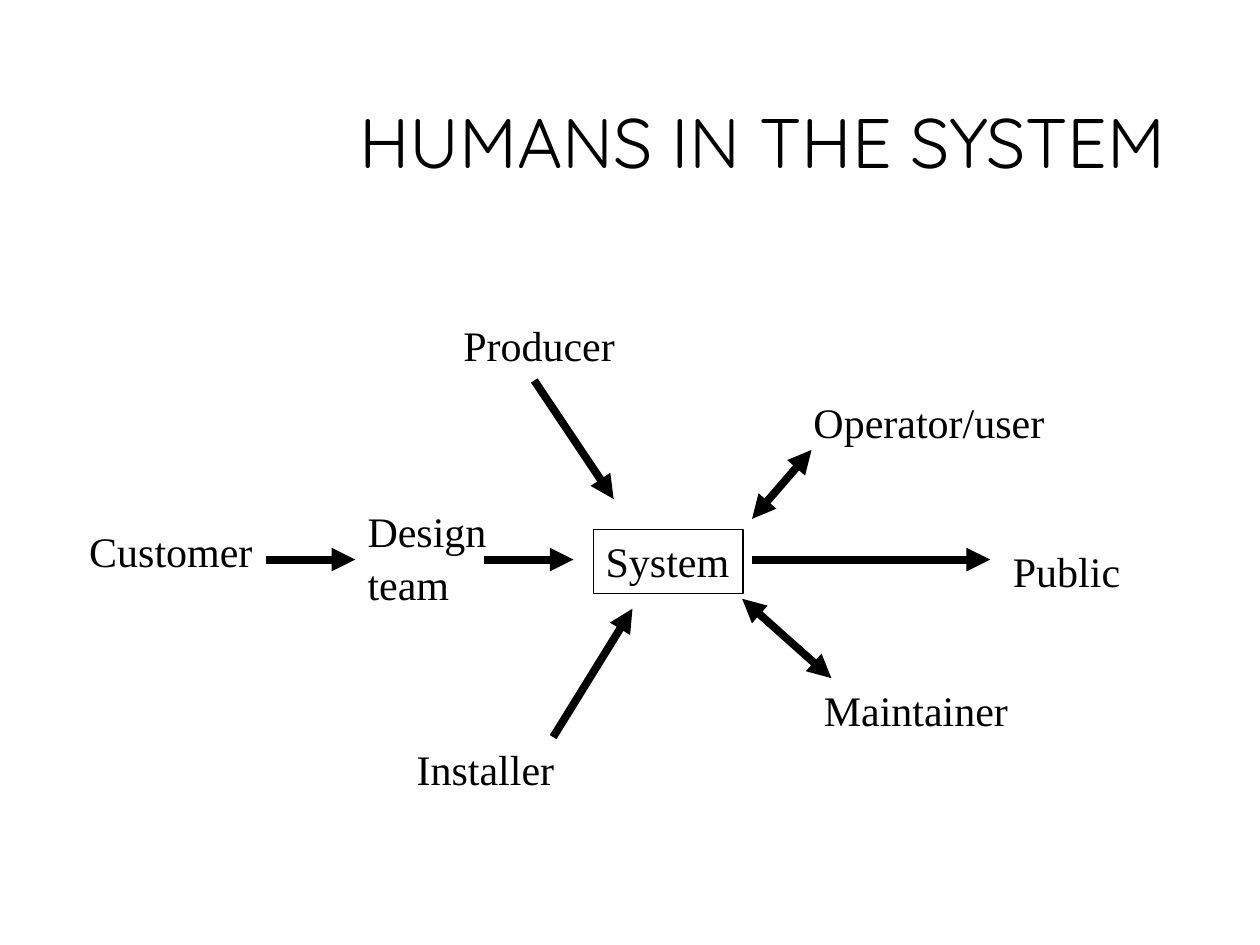
from lxml import etree
from pptx import Presentation
from pptx import util as u
from pptx.dml.color import RGBColor
from pptx.enum import shapes, text
from pptx.oxml import ns

COLOURS = {"ink": "000000", "paper": "FFFFFF"}
TITLE_FONT = {"name": "Quicksand", "size": u.Pt(40), "bold": False}
LABEL_FONT = {"name": "Times New Roman", "size": u.Pt(24)}
TITLE_FRAME = {"word_wrap": True, "auto_size": text.MSO_AUTO_SIZE.NONE,
               "vertical_anchor": text.MSO_ANCHOR.MIDDLE}
LABEL_FRAME = {"word_wrap": False, "auto_size": text.MSO_AUTO_SIZE.NONE,
               "vertical_anchor": text.MSO_ANCHOR.TOP}
TITLE_PARA = {"alignment": text.PP_ALIGN.RIGHT, "line_spacing": 0.9}
LABEL_PARA = {"alignment": text.PP_ALIGN.LEFT, "space_after": u.Pt(1.5)}

# Lengths in cm, relative to the diagram: words, left, top, width, height
SYSTEM = ("System", 10.46, 4.37, 3.02, 1.3)
PEOPLE = [
    ("Customer", 0.05, 4.16, 3.81, 1.27),
    ("Design\nteam", 5.66, 3.76, 2.92, 2.29),
    ("Producer", 7.59, 0.02, 3.56, 1.27),
    ("Installer", 6.65, 8.56, 3.28, 1.27),
    ("Operator/user", 14.65, 1.57, 5.16, 1.27),
    ("Public", 18.67, 4.57, 2.67, 1.27),
    ("Maintainer", 14.86, 7.37, 4.22, 1.27),
]
FLOW_Y = 4.98
# Start point, end point, whether both ends have a head
ARROWS = [
    ((3.86, FLOW_Y), (5.66, FLOW_Y), False),     # customer to design team
    ((8.25, FLOW_Y), (10.06, FLOW_Y), False),    # design team to system
    ((9.27, 1.37), (10.87, 3.76), False),        # producer to system
    ((9.65, 8.56), (11.25, 5.97), False),        # installer to system
    ((13.66, FLOW_Y), (18.46, FLOW_Y), False),   # system to public
    ((13.46, 5.77), (15.26, 7.37), True),        # system and maintainer
    ((14.86, 2.77), (13.66, 4.16), True),        # operator and system
]


def colour(name):
    return RGBColor.from_string(COLOURS[name])


def set_values(target, values):
    for name, value in values.items():
        setattr(target, name, value)


def write(shape, words, frame_values, para_values, font_values):
    frame = shape.text_frame
    frame.text = words
    set_values(frame, frame_values)
    for para in frame.paragraphs:
        set_values(para, para_values)
        for span in para.runs:
            set_values(span.font, font_values)
            span.font.color.rgb = colour("ink")


def add_title(page, left, top, width, height):
    title = page.shapes.title
    set_values(title, {"left": u.Cm(left), "top": u.Cm(top),
                       "width": u.Cm(width), "height": u.Cm(height)})
    write(title, "HUMANS IN THE SYSTEM", TITLE_FRAME, TITLE_PARA, TITLE_FONT)


def add_arrow(page, start, end, both_ways):
    arrow = page.shapes.add_connector(
        shapes.MSO_CONNECTOR.STRAIGHT, *map(u.Cm, start + end))
    arrow.line.width = u.Pt(4.5)
    arrow.line.color.rgb = colour("ink")
    properties = arrow.line._get_or_add_ln()
    for tag in ["a:headEnd", "a:tailEnd"] if both_ways else ["a:tailEnd"]:
        etree.SubElement(properties, ns.qn(tag), type="triangle")
    etree.SubElement(arrow._element.spPr, ns.qn("a:effectLst"))


def add_diagram(page, left, top):
    def place(x, y):
        return left + x, top + y

    # People around the system
    for words, x, y, width, height in PEOPLE:
        label = page.shapes.add_textbox(*map(u.Cm, place(x, y) + (width, height)))
        write(label, words, LABEL_FRAME, LABEL_PARA, LABEL_FONT)

    # The system itself
    words, x, y, width, height = SYSTEM
    box = page.shapes.add_shape(shapes.MSO_SHAPE.RECTANGLE,
                                *map(u.Cm, place(x, y) + (width, height)))
    box.shadow.inherit = False
    box.fill.background()
    box.line.color.rgb = colour("ink")
    box.line.width = u.Pt(0.75)
    write(box, words, LABEL_FRAME, LABEL_PARA, LABEL_FONT)

    # Arrows between them
    for start, end, both_ways in ARROWS:
        add_arrow(page, place(*start), place(*end), both_ways)


def main():
    deck = Presentation()
    deck.slide_width, deck.slide_height = u.Cm(25.4), u.Cm(19.05)
    page = deck.slides.add_slide(deck.slide_layouts.get_by_name("Title Only"))
    page.background.fill.solid()
    page.background.fill.fore_color.rgb = colour("paper")
    add_title(page, 6.05, 2.13, 17.7, 1.63)
    add_diagram(page, 1.5, 6.3)
    deck.save("out.pptx")


if __name__ == "__main__":
    main()
